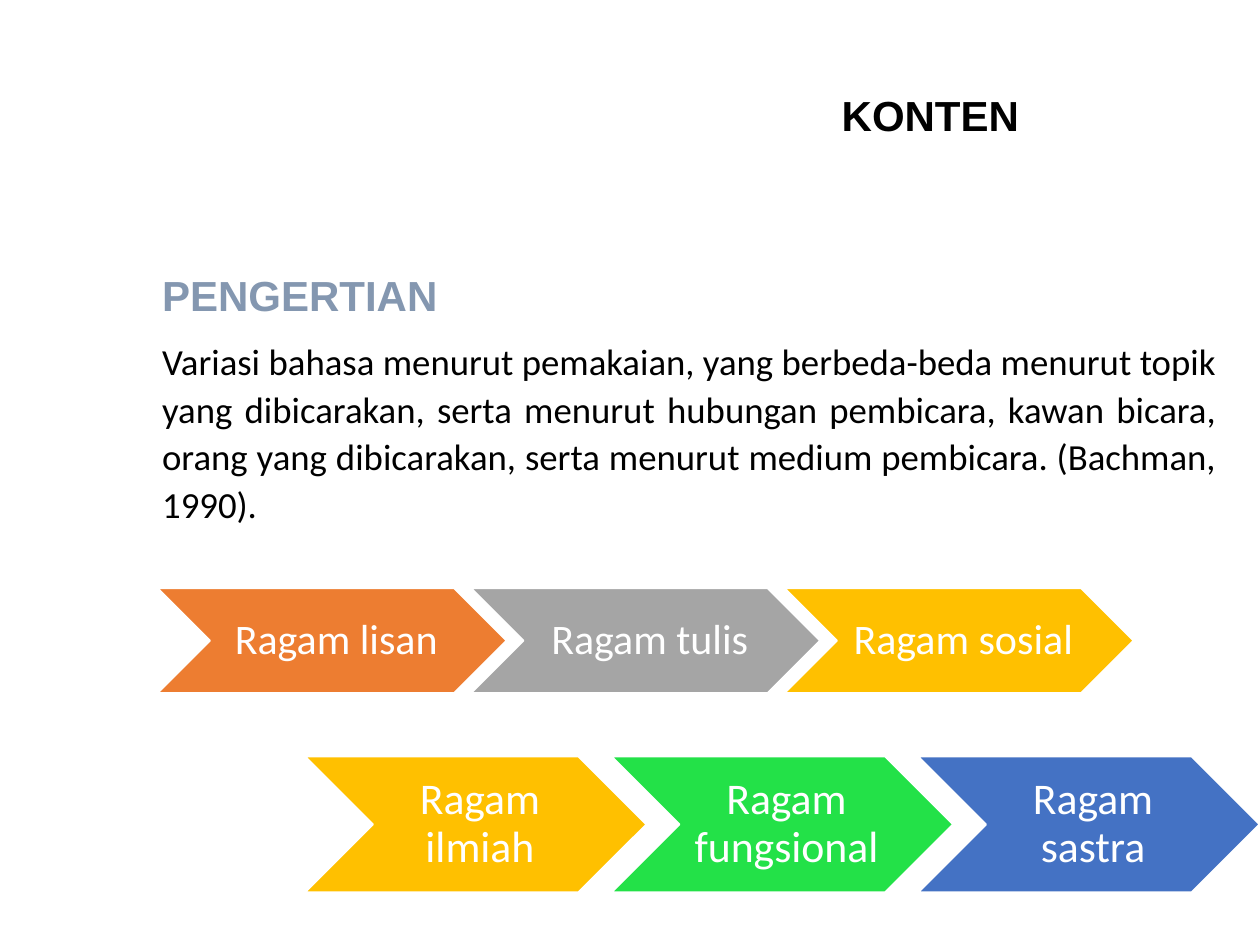
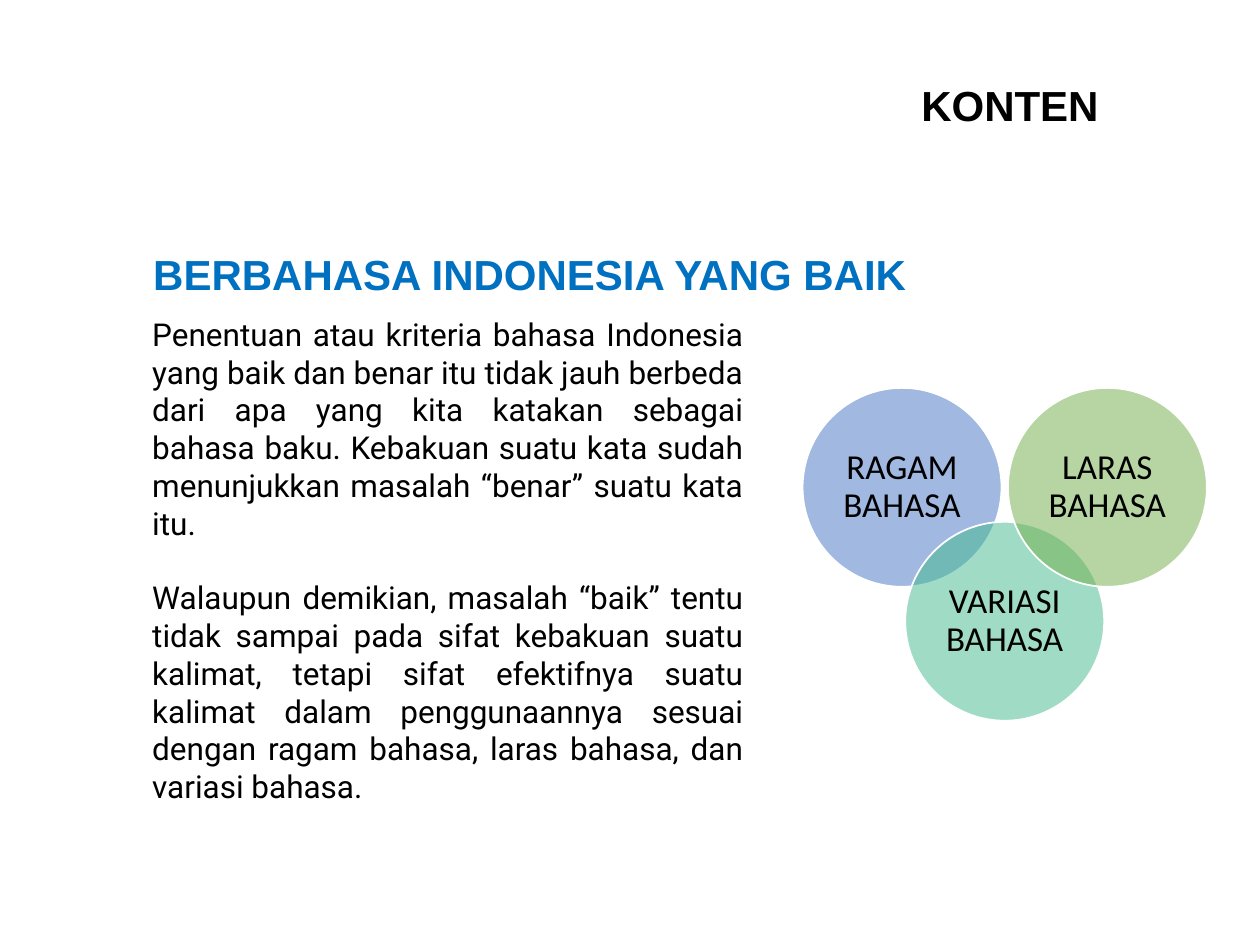
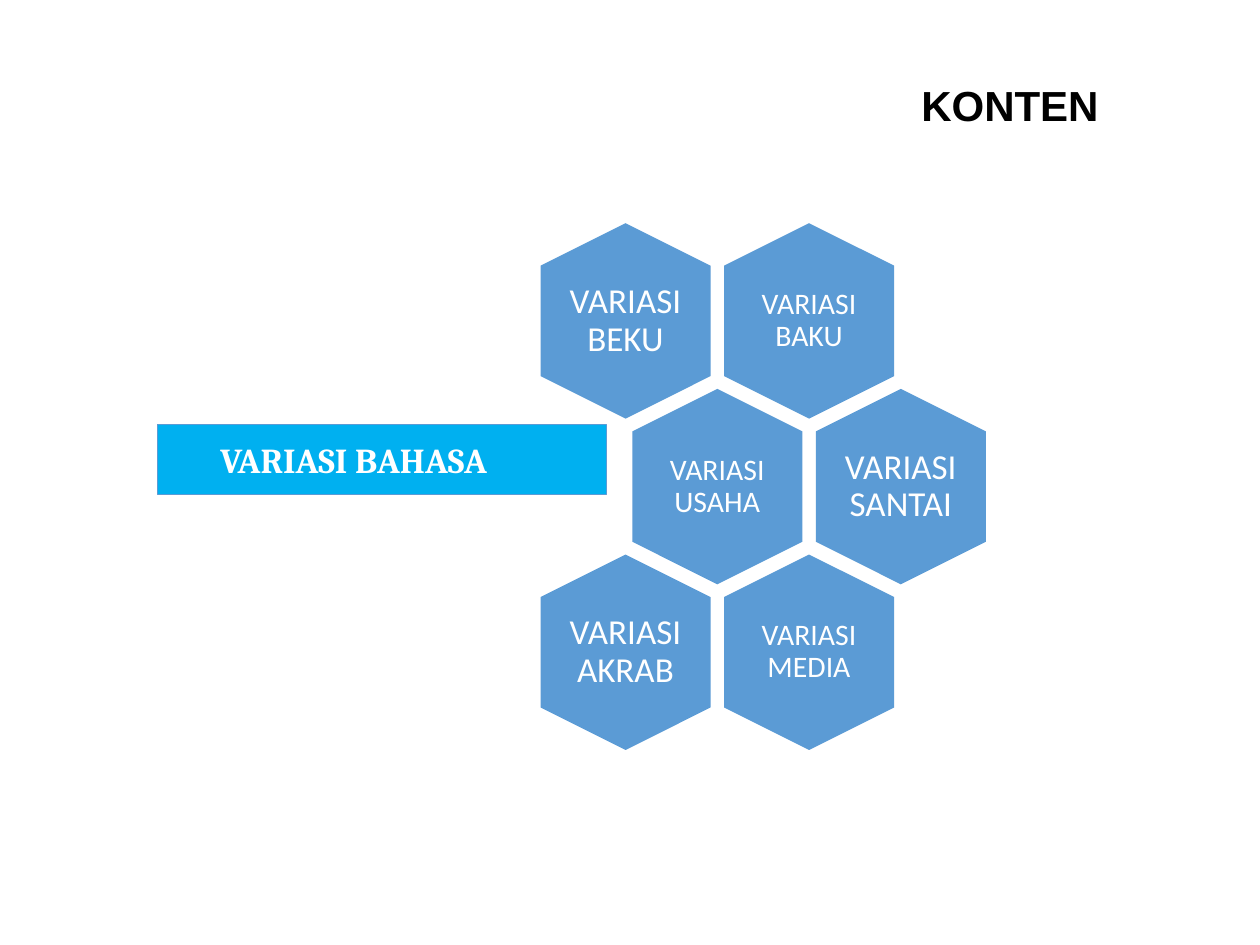
from lxml import etree
from pptx import Presentation
from pptx.dml.color import RGBColor
from pptx.enum.shapes import MSO_SHAPE
from pptx.enum.text import MSO_ANCHOR, PP_ALIGN
from pptx.oxml.ns import qn
from pptx.util import Cm, Pt

# Shared colours
BLACK = RGBColor(0x00, 0x00, 0x00)
WHITE = RGBColor(0xFF, 0xFF, 0xFF)
SLATE = RGBColor(0x84, 0x97, 0xB0)
HEADING_BLUE = RGBColor(0x00, 0x70, 0xC0)
SKY = RGBColor(0x00, 0xB0, 0xF0)
BLUE = RGBColor(0x5B, 0x9B, 0xD5)
ROYAL = RGBColor(0x44, 0x72, 0xC4)
ORANGE = RGBColor(0xED, 0x7D, 0x31)
GREY = RGBColor(0xA5, 0xA5, 0xA5)
GOLD = RGBColor(0xFF, 0xC0, 0x00)
BRIGHT_GREEN = RGBColor(0x23, 0xE1, 0x48)
TEAL = RGBColor(0x43, 0xBB, 0x8D)
GREEN = RGBColor(0x70, 0xAD, 0x47)

# Shared settings
CENTER, JUSTIFY, LEFT = PP_ALIGN.CENTER, PP_ALIGN.JUSTIFY, PP_ALIGN.LEFT
MIDDLE = MSO_ANCHOR.MIDDLE
CHEVRON, ELLIPSE = MSO_SHAPE.CHEVRON, MSO_SHAPE.OVAL
HEXAGON, RECTANGLE = MSO_SHAPE.HEXAGON, MSO_SHAPE.RECTANGLE
TITLE_ONLY = 5
TITLE_FONT, LABEL_FONT = "Arial", "Calibri"
TITLE_BOX = (16.08, 1.27, 8.56, 1.7)


def format_paragraph(paragraph, font_name, size, color, bold=False, align=LEFT):
    paragraph.alignment = align
    font = paragraph.font
    font.name, font.size, font.bold = font_name, Pt(size), bold
    font.color.rgb = color


def set_margins(frame, left, top, right, bottom):
    frame.margin_left, frame.margin_top = Cm(left), Cm(top)
    frame.margin_right, frame.margin_bottom = Cm(right), Cm(bottom)


def add_titled_slide(presentation, box=TITLE_BOX):
    slide = presentation.slides.add_slide(presentation.slide_layouts[TITLE_ONLY])
    title = slide.shapes.title
    title.left, title.top, title.width, title.height = map(Cm, box)
    title.text_frame.text = "KONTEN"
    title.text_frame.vertical_anchor = MIDDLE
    format_paragraph(title.text_frame.paragraphs[0], TITLE_FONT, 24, BLACK, True, CENTER)
    return slide


def add_text(slide, box, texts):
    """Add a wrapping text box and return its paragraphs."""
    frame = slide.shapes.add_textbox(*map(Cm, box)).text_frame
    frame.word_wrap = True
    frame.text = "\n".join(texts)
    return frame.paragraphs


def add_figure(slide, kind, box, fill, line=None, line_width=1):
    shape = slide.shapes.add_shape(kind, *map(Cm, box))
    shape.shadow.inherit = False
    shape.fill.solid()
    shape.fill.fore_color.rgb = fill
    if line is None:
        shape.line.fill.background()
    else:
        shape.line.color.rgb = line
        shape.line.width = Pt(line_width)
    return shape


def set_label(shape, text, size, color, margins):
    frame = shape.text_frame
    frame.word_wrap = True
    frame.vertical_anchor = MIDDLE
    set_margins(frame, *margins)
    frame.text = text
    format_paragraph(frame.paragraphs[0], LABEL_FONT, size, color, align=CENTER)
    frame.paragraphs[0].line_spacing = 0.9


def add_chevron_row(slide, left, top, width, height, step, size, items):
    for index, (text, fill) in enumerate(items):
        box = (left + index * step, top, width, height)
        chevron = add_figure(slide, CHEVRON, box, fill, WHITE)
        set_label(chevron, text, size, WHITE, (0.27, 0.1, 0.1, 0.1))


def add_venn_circle(slide, left, top, text, fill):
    diameter = 4.01
    circle = add_figure(slide, ELLIPSE, (left, top, diameter, diameter), fill, WHITE)
    color = circle.element.spPr.find(qn("a:solidFill"))[0]
    etree.SubElement(color, qn("a:alpha"), val="50000")
    set_label(circle, text, 20, BLACK, (0.2, 0.2, 0.2, 0.2))


def add_hexagon(slide, center_x, center_y, text, size):
    length, breadth = 3.94, 3.43
    box = (center_x - length / 2, center_y - breadth / 2, length, breadth)
    add_figure(slide, HEXAGON, box, BLUE).rotation = 90
    # The label stays upright over the turned hexagon
    width, height = 2.36, 2.72
    label_box = (center_x - width / 2, center_y - height / 2, width, height)
    label = slide.shapes.add_textbox(*map(Cm, label_box))
    set_label(label, text, size, WHITE, (0, 0, 0, 0))


def build_definition_slide(presentation):
    slide = add_titled_slide(presentation, (12.75, 1.68, 12.01, 1.27))
    heading, definition = add_text(slide, (3.02, 5.3, 21.75, 5.4), [
        "PENGERTIAN",
        "Variasi bahasa menurut pemakaian, yang berbeda-beda menurut topik yang "
        "dibicarakan, serta menurut hubungan pembicara, kawan bicara, orang yang "
        "dibicarakan, serta menurut medium pembicara. (Bachman, 1990).",
    ])
    format_paragraph(heading, TITLE_FONT, 24, SLATE, True, JUSTIFY)
    format_paragraph(definition, LABEL_FONT, 21, BLACK, align=JUSTIFY)
    definition.space_before = Pt(9)
    definition.line_spacing = 1.08

    # Kinds of language variety
    add_chevron_row(slide, 3.18, 11.86, 7.03, 2.11, 6.32, 24, [
        ("Ragam lisan", ORANGE), ("Ragam tulis", GREY), ("Ragam sosial", GOLD)])
    add_chevron_row(slide, 6.15, 15.25, 6.88, 2.74, 6.18, 25, [
        ("Ragam ilmiah", GOLD), ("Ragam fungsional", BRIGHT_GREEN),
        ("Ragam sastra", ROYAL)])


def build_good_language_slide(presentation):
    slide = add_titled_slide(presentation)
    heading, = add_text(slide, (2.84, 4.88, 21.49, 1.27),
                        ["BERBAHASA INDONESIA YANG BAIK"])
    format_paragraph(heading, TITLE_FONT, 24, HEADING_BLUE, True)

    paragraphs = add_text(slide, (2.82, 6.22, 12.42, 10.26), [
        "Penentuan atau kriteria bahasa Indonesia yang baik dan benar itu tidak jauh "
        "berbeda dari apa yang kita katakan sebagai bahasa baku. Kebakuan suatu kata "
        "sudah menunjukkan masalah “benar” suatu kata itu.",
        "Walaupun demikian, masalah “baik” tentu tidak sampai pada sifat kebakuan suatu "
        "kalimat, tetapi sifat efektifnya suatu kalimat dalam penggunaannya sesuai "
        "dengan ragam bahasa, laras bahasa, dan variasi bahasa.",
    ])
    for paragraph in paragraphs:
        format_paragraph(paragraph, "Roboto", 18, BLACK, align=JUSTIFY)
    paragraphs[0].space_after = Pt(21)

    # Overlapping circles
    add_venn_circle(slide, 16.18, 7.82, "RAGAM BAHASA", ROYAL)
    add_venn_circle(slide, 18.25, 10.52, "VARIASI BAHASA", TEAL)
    add_venn_circle(slide, 20.32, 7.82, "LARAS BAHASA", GREEN)


def build_variation_slide(presentation):
    slide = add_titled_slide(presentation)

    # Banner, with its text left of the middle
    banner = add_figure(slide, RECTANGLE, (3.18, 8.56, 9.04, 1.4), SKY, BLUE, 0.5)
    frame = banner.text_frame
    frame.text = "VARIASI BAHASA"
    frame.vertical_anchor = MIDDLE
    set_margins(frame, 0.46, 0.1, 1.6, 0.1)
    format_paragraph(frame.paragraphs[0], "Cambria", 20, WHITE, True, CENTER)

    # Honeycomb: the middle row is shifted by half a column
    column_step, row_step = 3.7, 3.34
    rows = [
        (("BEKU", 20), ("BAKU", 17)),
        (("USAHA", 17), ("SANTAI", 20)),
        (("AKRAB", 20), ("MEDIA", 17)),
    ]
    for row, items in enumerate(rows):
        for column, (name, size) in enumerate(items):
            center_x = 12.61 + (column + row % 2 / 2) * column_step
            center_y = 6.47 + row * row_step
            add_hexagon(slide, center_x, center_y, f"VARIASI {name}", size)


def main():
    presentation = Presentation()
    presentation.slide_width, presentation.slide_height = Cm(25.4), Cm(19.05)
    build_definition_slide(presentation)
    build_good_language_slide(presentation)
    build_variation_slide(presentation)
    presentation.save("out.pptx")


if __name__ == "__main__":
    main()
